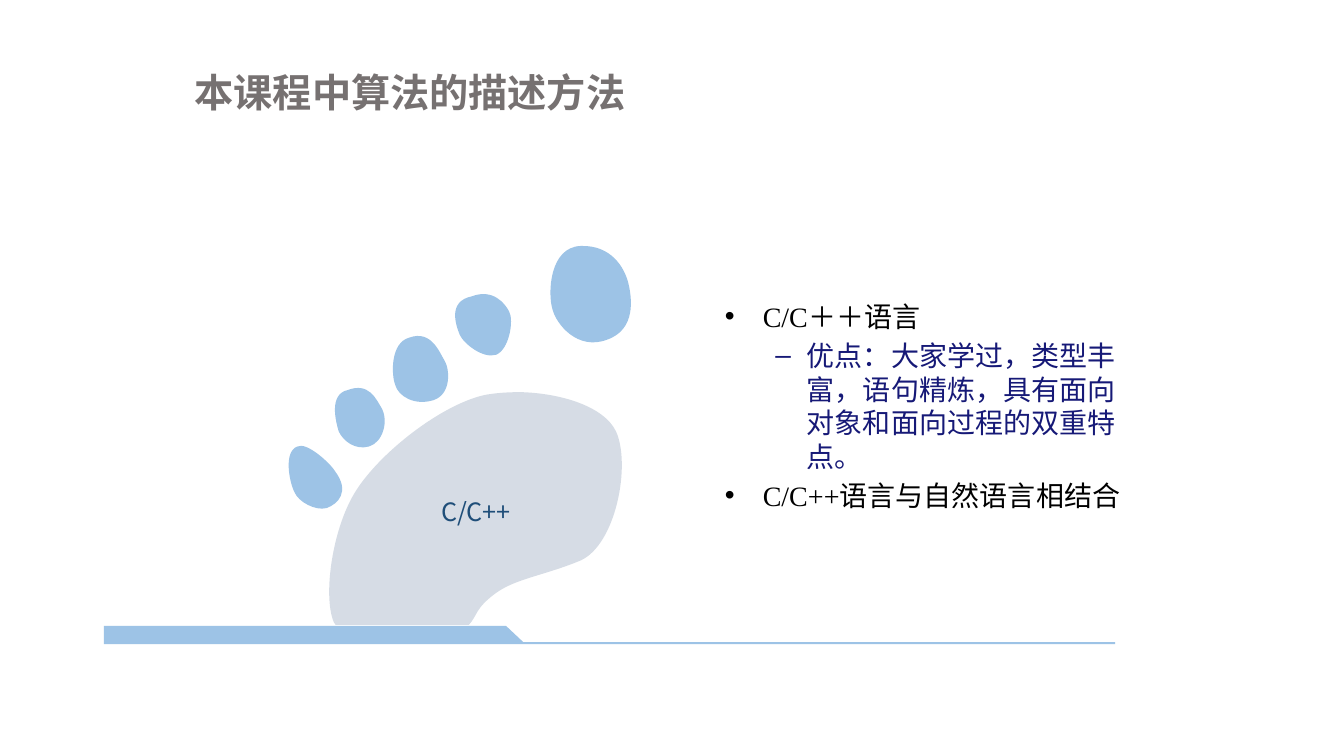
from lxml import etree
from pptx import Presentation
from pptx import util as u
from pptx.dml.color import RGBColor
from pptx.enum import text
from pptx.oxml import ns

PX = 9144  # 100 px to the inch
BLUE = RGBColor(0x9D, 0xC3, 0xE6)
PALE = RGBColor(0xD6, 0xDC, 0xE5)
DARK = RGBColor(0x1F, 0x4E, 0x79)
GREY = RGBColor(0x76, 0x71, 0x71)
NAVY = RGBColor(0x16, 0x19, 0x77)
BLACK = RGBColor(0, 0, 0)
SANS, SERIF = "Noto Sans CJK SC", "Times New Roman"

# Content
TITLE = "本课程中算法的描述方法"
LABEL = "C/C++"
POINTS = [  # level, words
    (0, "C/C＋＋语言"),
    (1, "优点：大家学过，类型丰富，语句精炼，具有面向对象和面向过程的双重特点。"),
    (0, "C/C++语言与自然语言相结合"),
]
# Mark, margin and hang in points, colour
LEVELS = [("•", 27, 27, BLACK), ("–", 58.5, 22.5, NAVY)]

# Outlines: box, then a start followed by lines (2 numbers) or curves (6 numbers)
TOES = [
    ((545, 244, 81, 95),
     [(576, 244), (545, 245, 543, 291, 548, 307), (552, 322, 573, 348, 602, 337),
      (631, 327, 627, 296, 623, 280), (619, 265, 606, 243, 576, 244)]),
    ((451, 292, 56, 61),
     [(468, 294), (444, 299, 452, 322, 456, 332), (460, 341, 479, 356, 492, 352),
      (505, 347, 510, 318, 505, 309), (501, 301, 489, 286, 468, 294)]),
    ((389, 333, 55, 66),
     [(406, 335), (387, 340, 388, 372, 392, 382), (395, 393, 411, 403, 430, 397),
      (448, 391, 446, 366, 441, 358), (436, 350, 428, 327, 406, 335)]),
    ((332, 385, 50, 60),
     [(345, 387), (326, 391, 333, 418, 336, 428), (340, 437, 352, 447, 366, 443),
      (380, 439, 386, 417, 378, 404), (373, 396, 366, 379, 345, 387)]),
    ((286, 442, 53, 62),
     [(295, 443), (281, 448, 287, 478, 292, 488), (296, 498, 313, 507, 324, 504),
      (335, 500, 348, 488, 332, 467), (327, 459, 304, 438, 295, 443)]),
]
GROUND = ((103, 621, 1003, 18),
          [(103, 621), (502, 621), (519, 637), (1106, 637), (1106, 639),
           (521, 639), (511, 639), (103, 639)])
SOLE = ((327, 389, 290, 231),
        [(516, 389), (556, 390, 599, 403, 611, 428), (626, 461, 611, 540, 576, 556),
         (540, 571, 511, 574, 491, 589), (471, 604, 474, 610, 465, 620),
         (457, 620), (333, 620), (331, 617), (320, 590, 330, 523, 353, 487),
         (377, 449, 437, 402, 480, 392), (490, 390, 503, 389, 516, 389)])


def locate(shape, left, top, width, height):
    shape.left, shape.top = left * PX, top * PX
    shape.width, shape.height = width * PX, height * PX


def draw(slide, outline, fill):
    box, parts = outline
    left, top, width, height = box
    ends = [part[-2:] for part in parts]
    pen = slide.shapes.build_freeform(*ends[0], scale=PX)
    pen.add_line_segments(ends[1:], close=True)
    shape = pen.convert_to_shape()
    locate(shape, *box)

    # Give the outline its curves, measured from the corner of the box
    track = shape._element.find(".//" + ns.qn("a:path"))
    track.set("w", str(width))
    track.set("h", str(height))
    for step, part in zip(list(track), parts):
        kind = "a:cubicBezTo" if len(part) == 6 else step.tag
        node = etree.Element(ns.qn(kind) if kind != step.tag else kind)
        for x, y in zip(part[::2], part[1::2]):
            etree.SubElement(node, ns.qn("a:pt"), x=str(x - left), y=str(y - top))
        track.replace(step, node)

    shape.fill.solid()
    shape.fill.fore_color.rgb = fill
    shape.line.fill.background()
    shape.shadow.inherit = False
    return shape


def place(shape, *box):
    locate(shape, *box)
    frame = shape.text_frame
    frame.word_wrap = True
    frame.auto_size = text.MSO_AUTO_SIZE.NONE
    frame.vertical_anchor = text.MSO_ANCHOR.MIDDLE
    return frame


def write(para, words, size, face, color, bold=False):
    run = para.add_run()
    run.text = words
    font = run.font
    font.size, font.name, font.bold = u.Pt(size), face, bold
    font.color.rgb = color
    east = etree.Element(ns.qn("a:ea"), typeface=SANS)
    run._r.rPr.find(ns.qn("a:latin")).addnext(east)


def bullet(para, mark, margin, hang):
    props = para._p.get_or_add_pPr()
    props.set("marL", str(u.Pt(margin)))
    props.set("indent", str(-u.Pt(hang)))
    etree.SubElement(props, ns.qn("a:buChar"), char=mark)


def main():
    deck = Presentation()
    deck.slide_width, deck.slide_height = 1333 * PX, 750 * PX
    slide = deck.slides.add_slide(deck.slide_layouts[1])
    head, body = slide.placeholders

    # Toes and ground
    for outline in TOES + [GROUND]:
        draw(slide, outline, BLUE)

    # List
    frame = place(body, 709, 204, 427, 397)
    frame.margin_top = frame.margin_bottom = 0
    for i, (level, words) in enumerate(POINTS):
        para = frame.add_paragraph() if i else frame.paragraphs[0]
        mark, margin, hang, color = LEVELS[level]
        para.level = level
        bullet(para, mark, margin, hang)
        para.line_spacing = u.Pt(24)
        para.space_before = u.Pt(4 if i else 0)
        write(para, words, 20, SERIF, color)

    # Sole with its label
    frame = draw(slide, SOLE, PALE).text_frame
    frame.vertical_anchor = text.MSO_ANCHOR.MIDDLE
    para = frame.paragraphs[0]
    para.alignment = text.PP_ALIGN.CENTER
    para.line_spacing = 1.2
    write(para, LABEL, 18, SANS, DARK)

    # Title
    para = place(head, 183, 63, 476, 57).paragraphs[0]
    para.alignment = text.PP_ALIGN.LEFT
    write(para, TITLE, 28, SANS, GREY, True)

    deck.save("out.pptx")


if __name__ == "__main__":
    main()
